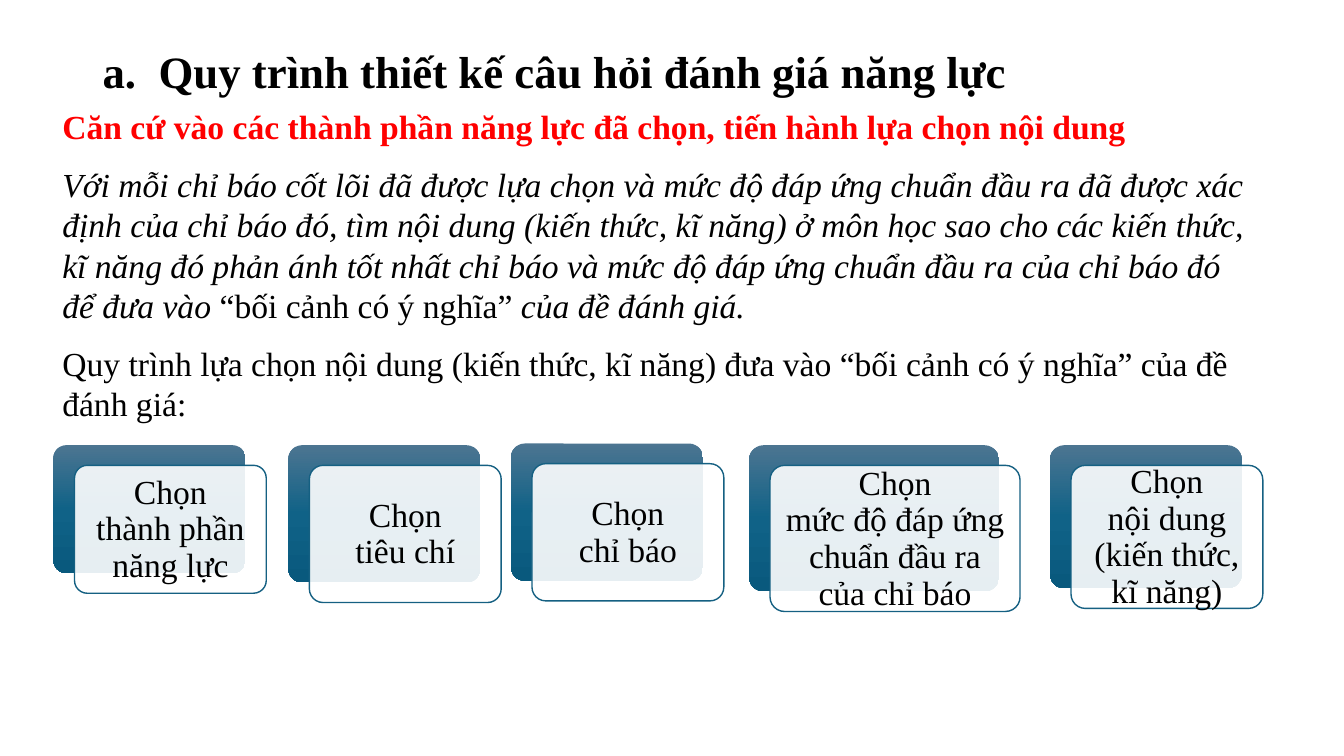
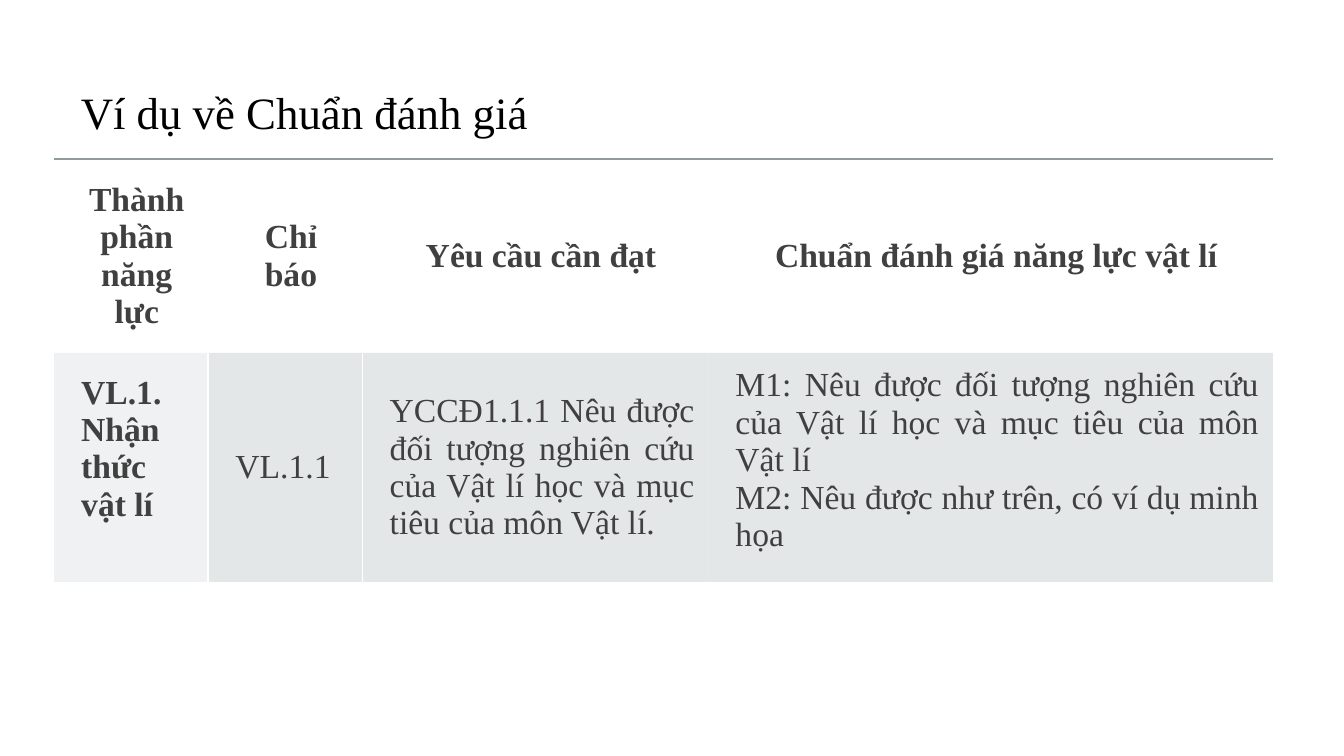
from copy import deepcopy
from dataclasses import dataclass

from lxml.etree import SubElement
from pptx import Presentation
from pptx.dml.color import RGBColor
from pptx.enum.shapes import MSO_SHAPE as Shape
from pptx.enum.text import MSO_ANCHOR as Anchor, PP_ALIGN as Align
from pptx.oxml.ns import qn
from pptx.util import Pt

FONT = "Times New Roman"
BLACK = RGBColor(0x00, 0x00, 0x00)
WHITE = RGBColor(0xFF, 0xFF, 0xFF)
RED = RGBColor(0xFF, 0x00, 0x00)
DARK_GREY = RGBColor(0x40, 0x40, 0x40)
RULE_GREY = RGBColor(0x8F, 0x9A, 0x9D)
CELL_GREY = RGBColor(0xB4, 0xBC, 0xBE)
TEAL = RGBColor(0x15, 0x60, 0x82)
GRADIENT = (
    (0, RGBColor(0x4C, 0x75, 0x91)),
    (0.5, RGBColor(0x10, 0x62, 0x87)),
    (1, RGBColor(0x09, 0x59, 0x7D)),
)
NO_TABLE_STYLE = "{2D5ABB26-0587-4C30-8999-92F81FD0307C}"

TITLE_SIZE, TEXT_SIZE = 32, 24
TITLE_PITCH, BODY_PITCH, CARD_PITCH, CELL_PITCH = 34.3, 29, 26.2, 26.7
CARD_OFFSET = 15


@dataclass
class Span:
    text: str
    color: RGBColor = BLACK
    bold: bool = False
    italic: bool = False


@dataclass
class Card:
    text: str
    left: float
    width: float
    height: float
    top: float = 318


@dataclass
class Cell:
    text: str
    align: Align
    bold: bool = False
    opacity: int = 0
    anchor: Anchor = Anchor.MIDDLE
    extra_bottom: float = 0


BODY = (
    [Span("Căn cứ vào các thành phần năng lực đã chọn, tiến hành lựa chọn nội dung", RED, bold=True)],
    [
        Span("Với mỗi chỉ báo cốt lõi đã được lựa chọn và mức độ đáp ứng chuẩn đầu ra đã được "
             "xác định của chỉ báo đó, tìm nội dung (kiến thức, kĩ năng) ở môn học sao cho các "
             "kiến thức, kĩ năng đó phản ánh tốt nhất chỉ báo và mức độ đáp ứng chuẩn đầu ra của "
             "chỉ báo đó để đưa vào ", italic=True),
        Span("“bối cảnh có ý nghĩa” "),
        Span("của đề đánh giá.", italic=True),
    ],
    [Span("Quy trình lựa chọn nội dung (kiến thức, kĩ năng) đưa vào “bối cảnh có ý nghĩa” "
          "của đề đánh giá:")],
)

CARDS = (
    Card("Chọn\vthành phần\vnăng lực", 38.2, 137, 91.4),
    Card("Chọn\vtiêu chí", 206, 137, 98),
    Card("Chọn\vchỉ báo", 365, 137, 98, top=316.8),
    Card("Chọn\vmức độ đáp ứng chuẩn đầu ra của chỉ báo", 535, 178.6, 104.4),
    Card("Chọn\vnội dung (kiến thức, kĩ năng)", 750, 137, 102.2),
)

COLUMN_WIDTHS = (110.2, 110.2, 247, 403.2)
ROW_HEIGHTS = (138.2, 163.6)
ROW_INSETS = (11.5, 10)
ROWS = (
    [Cell(text, Align.CENTER, bold=True) for text in (
        "Thành phần năng lực", "Chỉ báo", "Yêu cầu cần đạt", "Chuẩn đánh giá năng lực vật lí")],
    [
        Cell("VL.1. Nhận thức vật lí", Align.LEFT, bold=True, opacity=20, extra_bottom=26.5),
        Cell("VL.1.1", Align.LEFT, opacity=35),
        Cell("YCCĐ1.1.1 Nêu được đối tượng nghiên cứu của Vật lí học và mục tiêu của môn Vật lí.",
             Align.JUSTIFY, opacity=35),
        Cell("M1: Nêu được đối tượng nghiên cứu của Vật lí học và mục tiêu của môn Vật lí\n"
             "M2: Nêu được như trên, có ví dụ minh họa",
             Align.JUSTIFY, opacity=35, anchor=Anchor.TOP),
    ],
)


# Shared helpers
def format_run(run, color: RGBColor, size: float = TEXT_SIZE,
               bold: bool = False, italic: bool = False) -> None:
    font = run.font
    font.name, font.size, font.bold, font.italic = FONT, Pt(size), bold, italic
    font.color.rgb = color


def format_frame(frame, align: Align, pitch: float, color: RGBColor,
                 size: float = TEXT_SIZE, bold: bool = False) -> None:
    for para in frame.paragraphs:
        para.alignment, para.line_spacing = align, Pt(pitch)
        for run in para.runs:
            format_run(run, color, size, bold)


def set_opacity(parent, percent: int) -> None:
    color = parent.find(qn("a:solidFill")).find(qn("a:srgbClr"))
    SubElement(color, qn("a:alpha"), val=str(percent * 1000))


def add_box(page, left: float, top: float, width: float, height: float):
    box = page.shapes.add_textbox(Pt(left), Pt(top), Pt(width), Pt(height))
    box.text_frame.word_wrap = True
    return box.text_frame


def add_title(page, text: str, left: float, top: float, width: float,
              align: Align = Align.LEFT, bold: bool = False) -> None:
    frame = add_box(page, left, top, width, 42.5)
    frame.text = text
    format_frame(frame, align, TITLE_PITCH, BLACK, TITLE_SIZE, bold)


# Process slide
def add_body(page) -> None:
    frame = add_box(page, 37.4, 72, 864.7, 234.7)
    for index, spans in enumerate(BODY):
        para = frame.add_paragraph() if index else frame.paragraphs[0]
        para.alignment = Align.LEFT if index else Align.JUSTIFY
        para.line_spacing = Pt(BODY_PITCH)
        para.space_before, para.space_after = Pt(6 if index else 0), Pt(6)
        for span in spans:
            run = para.add_run()
            run.text = span.text
            format_run(run, span.color, bold=span.bold, italic=span.italic)


def add_panel(page, card: Card, offset: float = 0):
    panel = page.shapes.add_shape(Shape.ROUNDED_RECTANGLE, Pt(card.left + offset),
                                  Pt(card.top + offset * 0.96), Pt(card.width), Pt(card.height))
    panel.adjustments[0] = 0.1
    panel.shadow.inherit = False
    return panel


def add_card(page, card: Card) -> None:
    back = add_panel(page, card)
    back.line.fill.background()
    back.fill.gradient()
    first_stop = back.fill._xPr.find(".//" + qn("a:gs"))
    first_stop.addnext(deepcopy(first_stop))
    for stop, (position, color) in zip(back.fill.gradient_stops, GRADIENT):
        stop.position, stop.color.rgb = position, color
    back.fill.gradient_angle = 270

    front = add_panel(page, card, CARD_OFFSET)
    front.fill.solid()
    front.fill.fore_color.rgb = WHITE
    set_opacity(front.fill._xPr, 90)
    front.line.color.rgb, front.line.width = TEAL, Pt(1)
    frame = front.text_frame
    frame.word_wrap, frame.vertical_anchor = True, Anchor.MIDDLE
    frame.margin_left = frame.margin_right = Pt(7.2)
    frame.margin_top = frame.margin_bottom = Pt(7.2)
    frame.paragraphs[0].text = card.text
    format_frame(frame, Align.CENTER, CARD_PITCH, BLACK)


# Table slide
def add_border(cell, side: str, color: RGBColor, opacity: int = 100) -> None:
    line = SubElement(cell._tc.get_or_add_tcPr(), qn(f"a:ln{side}"), w=str(Pt(1.5)))
    fill = SubElement(line, qn("a:solidFill"))
    SubElement(fill, qn("a:srgbClr"), val=str(color))
    set_opacity(line, opacity)


def fill_cell(cell, content: Cell, inset: float) -> None:
    cell.margin_left = Pt(19.4)
    cell.margin_right = cell.margin_top = Pt(inset)
    cell.margin_bottom = Pt(inset + content.extra_bottom)
    cell.vertical_anchor = content.anchor
    cell.text_frame.text = content.text
    format_frame(cell.text_frame, content.align, CELL_PITCH, DARK_GREY, bold=content.bold)
    if content.opacity:
        cell.fill.solid()
        cell.fill.fore_color.rgb = CELL_GREY
        set_opacity(cell._tc.tcPr, content.opacity)
    else:
        cell.fill.background()


def add_standards_table(page) -> None:
    table = page.shapes.add_table(len(ROWS), len(COLUMN_WIDTHS), Pt(38.6), Pt(113.8),
                                  Pt(sum(COLUMN_WIDTHS)), Pt(sum(ROW_HEIGHTS))).table
    table.first_row = table.horz_banding = False
    table._tbl.tblPr.find(qn("a:tableStyleId")).text = NO_TABLE_STYLE
    for column, width in zip(table.columns, COLUMN_WIDTHS):
        column.width = Pt(width)
    for row, height in zip(table.rows, ROW_HEIGHTS):
        row.height = Pt(height)
    for cell in table.rows[0].cells:
        add_border(cell, "T", RULE_GREY, 60)
    add_border(table.cell(1, 0), "R", WHITE)
    add_border(table.cell(1, 1), "L", WHITE)
    for row, contents, inset in zip(table.rows, ROWS, ROW_INSETS):
        for cell, content in zip(row.cells, contents):
            fill_cell(cell, content, inset)


def main() -> None:
    deck = Presentation()
    deck.slide_width, deck.slide_height = Pt(960), Pt(540)
    blank = deck.slide_layouts[6]

    process_page = deck.slides.add_slide(blank)
    add_body(process_page)
    for card in CARDS:
        add_card(process_page, card)
    add_title(process_page, "a.  Quy trình thiết kế câu hỏi đánh giá năng lực", 66.2, 31.7, 828,
              bold=True)

    example_page = deck.slides.add_slide(blank)
    add_title(example_page, "Ví dụ về Chuẩn đánh giá", 50.4, 61.2, 334, Align.CENTER)
    add_standards_table(example_page)

    deck.save("out.pptx")


if __name__ == "__main__":
    main()
